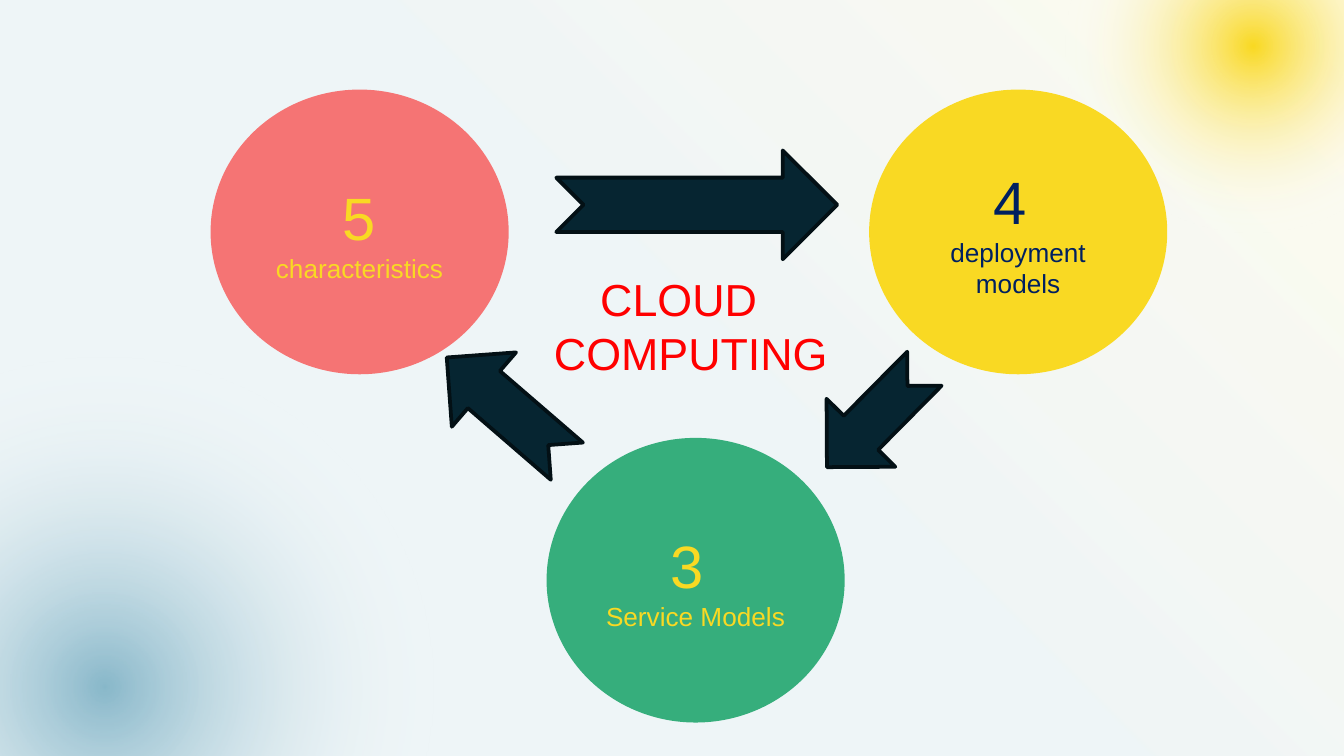
from lxml import etree
from pptx import Presentation
from pptx.dml.color import RGBColor
from pptx.enum.shapes import MSO_SHAPE
from pptx.enum.text import MSO_ANCHOR, MSO_AUTO_SIZE, PP_ALIGN
from pptx.oxml.ns import nsdecls, qn
from pptx.util import Pt

RECTANGLE, OVAL = MSO_SHAPE.RECTANGLE, MSO_SHAPE.OVAL
NOTCHED_ARROW = MSO_SHAPE.NOTCHED_RIGHT_ARROW
MIDDLE, CENTER, NO_AUTOFIT = MSO_ANCHOR.MIDDLE, PP_ALIGN.CENTER, MSO_AUTO_SIZE.NONE

BLUE = RGBColor(0x18, 0x74, 0x98)
YELLOW = RGBColor(0xF9, 0xD9, 0x23)
WHITE = RGBColor(0xFF, 0xFF, 0xFF)
CORAL = RGBColor(0xF5, 0x74, 0x74)
GREEN = RGBColor(0x36, 0xAE, 0x7C)
NAVY = RGBColor(0x00, 0x20, 0x60)
RED = RGBColor(0xFF, 0x00, 0x00)
ARROW_FILL = RGBColor(0x06, 0x25, 0x31)
ARROW_EDGE = RGBColor(0x03, 0x10, 0x15)

FONT = "Arial"
WIDTH, HEIGHT = 720, 405
CIRCLE_W, CIRCLE_H = 157.7, 150.5
TOP_ROW = 49


def add_preset(slide, preset, box):
    shape = slide.shapes.add_shape(preset, *map(Pt, box))
    shape.shadow.inherit = False
    return shape


def paint(shape, fill, edge):
    shape.fill.solid()
    shape.fill.fore_color.rgb = fill
    shape.line.color.rgb = edge
    shape.line.width = Pt(2)


def add_gradient(slide, preset, box, stops, direction):
    """Stops are (position %, colour, opacity %)."""
    shape = add_preset(slide, preset, box)
    shape.line.fill.background()
    shape.fill.background()
    stop_xml = "".join(
        f'<a:gs pos="{position * 1000}"><a:srgbClr val="{color}">'
        f'<a:alpha val="{opacity * 1000}"/></a:srgbClr></a:gs>'
        for position, color, opacity in stops)
    gradient = etree.fromstring(
        f'<a:gradFill {nsdecls("a")} rotWithShape="1">'
        f'<a:gsLst>{stop_xml}</a:gsLst>{direction}</a:gradFill>')
    properties = shape.element.spPr
    properties.replace(properties.find(qn("a:noFill")), gradient)


def add_glow(slide, box, color, opacity):
    center = '<a:fillToRect l="50000" t="50000" r="50000" b="50000"/>'
    stops = [(0, color, opacity), (50, WHITE, 0), (100, WHITE, 0)]
    add_gradient(slide, OVAL, box, stops, f'<a:path path="circle">{center}</a:path>')


def add_backdrop(slide, box):
    left, top, width, height = box
    wash = [(0, BLUE, 7), (50, BLUE, 7), (100, YELLOW, 7)]
    add_gradient(slide, RECTANGLE, (left - 3, top - 3, width + 6, height + 6),
                 wash, '<a:lin ang="18900000" scaled="0"/>')
    # Corner glows
    add_glow(slide, (left - 194.4, top + 117.4, 501, 501), BLUE, 47)
    add_glow(slide, (left + 529.2, top - 117.4, 283.7, 283.7), YELLOW, 100)


def add_circle(slide, box, lines, fill, text_color):
    """Each line is a list of (text, size) runs."""
    circle = add_preset(slide, OVAL, box)
    paint(circle, fill, fill)
    frame = circle.text_frame
    frame.word_wrap = True
    frame.vertical_anchor = MIDDLE
    for index, runs in enumerate(lines):
        paragraph = frame.add_paragraph() if index else frame.paragraphs[0]
        paragraph.alignment = CENTER
        paragraph.font.name = FONT
        paragraph.font.color.rgb = text_color
        for text, size in runs:
            run = paragraph.add_run()
            run.text = text
            run.font.size = Pt(size)


def add_arrow(slide, box, rotation):
    arrow = add_preset(slide, NOTCHED_ARROW, box)
    arrow.rotation = rotation
    paint(arrow, ARROW_FILL, ARROW_EDGE)


def add_title(slide, box):
    title = slide.shapes.title
    title.left, title.top, title.width, title.height = map(Pt, box)
    frame = title.text_frame
    frame.auto_size = NO_AUTOFIT
    frame.word_wrap = True
    frame.vertical_anchor = MIDDLE
    frame.margin_left = frame.margin_right = 0
    frame.text = "CLOUD\nCOMPUTING"
    # The right indent sets the first word slightly left of centre
    for paragraph, right_indent in zip(frame.paragraphs, (13, 0)):
        paragraph.alignment = CENTER
        paragraph.line_spacing = 1.0
        paragraph.font.name = FONT
        paragraph.font.size = Pt(24)
        paragraph.font.color.rgb = RED
        paragraph._p.get_or_add_pPr().set("marR", str(Pt(right_indent)))
    # Bring the title in front of the backdrop
    slide.shapes.element.append(title.element)


def add_cycle(slide):
    circles = [
        (113.8, TOP_ROW, [[("5 ", 32), ("characteristics", 14)]], CORAL, YELLOW),
        (466.6, TOP_ROW, [[("4 ", 32)], [("deployment models", 14)]], YELLOW, NAVY),
        (293.8, 235.6, [[("3 ", 32)], [("Service Models", 14)]], GREEN, YELLOW),
    ]
    for left, top, lines, fill, text_color in circles:
        add_circle(slide, (left, top, CIRCLE_W, CIRCLE_H), lines, fill, text_color)

    arrows = [
        ((298, 80.6, 150.5, 58.3), 0),
        ((432, 198, 74.2, 51.8), 134.7),
        ((229, 193, 85, 52.6), 220.8),
    ]
    for box, rotation in arrows:
        add_arrow(slide, box, rotation)


def main():
    deck = Presentation()
    deck.slide_width, deck.slide_height = Pt(WIDTH), Pt(HEIGHT)
    slide = deck.slides.add_slide(deck.slide_layouts[5])
    add_backdrop(slide, (0, 0, WIDTH, HEIGHT))
    add_cycle(slide)
    add_title(slide, (288.7, 141.8, 162.7, 65.5))
    deck.save("out.pptx")


if __name__ == "__main__":
    main()
